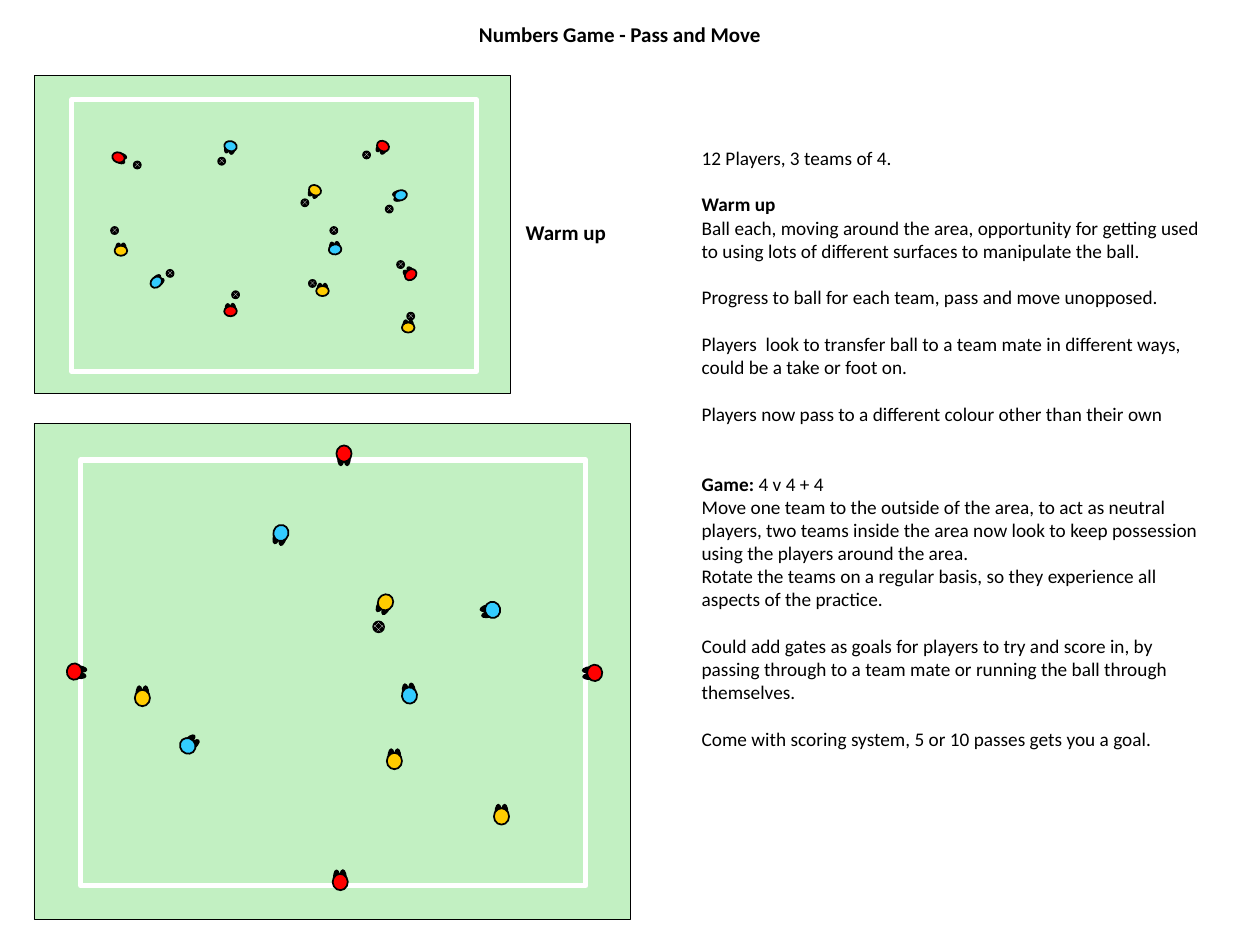
from dataclasses import dataclass
from math import cos, radians, sin

from pptx import Presentation
from pptx import util as u
from pptx.dml.color import RGBColor
from pptx.enum import dml, shapes, text

COLOURS = {"grass": "C2F0C2", "white": "FFFFFF", "black": "000000",
           "red": "FF0000", "blue": "33CCFF", "yellow": "FFCC00"}
FONT = "Calibri"
LINE_GAP = 13.4


@dataclass(frozen=True)
class Player:
    x: float
    y: float
    angle: float
    colour: str


@dataclass(frozen=True)
class Scale:
    body: tuple[float, float]
    foot: tuple[float, float]
    foot_offset: tuple[float, float]
    ball: float


@dataclass(frozen=True)
class Pitch:
    field: tuple[float, float, float, float]
    border: tuple[float, float, float, float]
    scale: Scale
    players: tuple[Player, ...]
    balls: tuple[tuple[float, float], ...]


@dataclass(frozen=True)
class Note:
    body: str
    heading: str = ""
    blank_lines: int = 0


GAME = Pitch(
    (0.27, 3.36, 4.73, 3.94), (0.64, 3.65, 4.01, 3.38),
    Scale((0.12, 0.13), (0.05, 0.13), (0.025, 0.03), 0.09),
    (Player(1.13, 5.54, 0, "yellow"), Player(1.49, 5.92, 48.2, "blue"),
     Player(0.59, 5.33, 97, "red"), Player(3.98, 6.48, 0, "yellow"),
     Player(3.91, 4.84, 255.5, "blue"), Player(4.72, 5.34, 266, "red"),
     Player(3.25, 5.52, 352.4, "blue"), Player(2.23, 4.23, 196.1, "blue"),
     Player(3.13, 6.04, 0, "yellow"), Player(3.06, 4.78, 207.4, "yellow"),
     Player(2.73, 3.6, 180, "red"), Player(2.7, 7, 357.2, "red")),
    ((2.96, 4.93),))

WARM_UP = Pitch(
    (0.27, 0.6, 3.78, 2.52), (0.57, 0.79, 3.21, 2.16),
    Scale((0.1, 0.08), (0.04, 0.08), (0.02, 0.02), 0.06),
    (Player(0.96, 1.99, 0, "yellow"), Player(1.24, 2.24, 48.2, "blue"),
     Player(0.94, 1.25, 110.5, "red"), Player(3.24, 2.6, 0, "yellow"),
     Player(3.18, 1.55, 255.5, "blue"), Player(3.26, 2.18, 318.4, "red"),
     Player(2.66, 1.98, 352.4, "blue"), Player(1.83, 1.16, 196.1, "blue"),
     Player(2.56, 2.31, 0, "yellow"), Player(2.5, 1.51, 207.4, "yellow"),
     Player(3.04, 1.16, 210.6, "red"), Player(1.83, 2.47, 357.2, "red")),
    ((2.39, 1.58), (3.15, 2.07), (1.73, 1.25), (2.88, 1.2),
     (1.06, 1.28), (3.06, 1.63), (0.88, 1.8), (1.32, 2.14),
     (1.84, 2.31), (2.45, 2.22), (3.23, 2.48), (2.62, 1.8)))

NOTES = (
    Note("12 Players, 3 teams of 4."),
    Note("", "Warm up", 1),
    Note("Ball each, moving around the area, opportunity for getting used "
         "to using lots of different surfaces to manipulate the ball."),
    Note("Progress to ball for each team, pass and move unopposed.", blank_lines=1),
    Note("Players  look to transfer ball to a team mate in different ways, "
         "could be a take or foot on.", blank_lines=1),
    Note("Players now pass to a different colour other than their own", blank_lines=1),
    Note("4 v 4 + 4", "Game: ", 2),
    Note("Move one team to the outside of the area, to act as neutral players, "
         "two teams inside the area now look to keep possession using the "
         "players around the area."),
    Note("Rotate the teams on a regular basis, so they experience all aspects "
         "of the practice."),
    Note("Could add gates as goals for players to try and score in, by passing "
         "through to a team mate or running the ball through themselves.", blank_lines=1),
    Note("Come with scoring system, 5 or 10 passes gets you a goal.", blank_lines=1),
)


def rgb(name: str) -> RGBColor:
    return RGBColor.from_string(COLOURS[name])


def add_outline(page, kind, area, fill: str | None, line: str, weight: float):
    shape = page.shapes.add_shape(kind, *map(u.Inches, area))
    shape.shadow.inherit = False
    if fill:
        shape.fill.solid()
        shape.fill.fore_color.rgb = rgb(fill)
    else:
        shape.fill.background()
    shape.line.color.rgb = rgb(line)
    shape.line.width = u.Pt(weight)
    return shape


def add_ellipse(page, centre, size, angle: float, fill: str, weight: float) -> None:
    (x, y), (width, height) = centre, size
    area = (x - width / 2, y - height / 2, width, height)
    shape = add_outline(page, shapes.MSO_SHAPE.OVAL, area, fill, "black", weight)
    shape.rotation = angle


def draw_player(page, player: Player, scale: Scale) -> None:
    turn = radians(player.angle)
    side, ahead = scale.foot_offset
    sideways = abs(sin(turn)) > abs(cos(turn))
    body = scale.body[::-1] if sideways else scale.body
    for step in (-side, side):
        foot = (player.x + step * cos(turn) + ahead * sin(turn),
                player.y + step * sin(turn) - ahead * cos(turn))
        add_ellipse(page, foot, scale.foot, player.angle, "black", 0.75)
    add_ellipse(page, (player.x, player.y), body, player.angle, player.colour, 1)


def draw_ball(page, left: float, top: float, size: float) -> None:
    ball = add_outline(page, shapes.MSO_SHAPE.OVAL, (left, top, size, size),
                       None, "black", 0.75)
    ball.fill.patterned()
    ball.fill.pattern = dml.MSO_PATTERN.SOLID_DIAMOND
    ball.fill.fore_color.rgb = rgb("white")
    ball.fill.back_color.rgb = rgb("black")


def draw_pitch(page, pitch: Pitch) -> None:
    rectangle = shapes.MSO_SHAPE.RECTANGLE
    add_outline(page, rectangle, pitch.field, "grass", "black", 0.25)
    add_outline(page, rectangle, pitch.border, None, "white", 3)
    for player in pitch.players:
        draw_player(page, player, pitch.scale)
    for left, top in pitch.balls:
        draw_ball(page, left, top, pitch.scale.ball)


def add_frame(page, area):
    frame = page.shapes.add_textbox(*map(u.Inches, area)).text_frame
    frame.word_wrap = True
    return frame


def set_font(para, size: float) -> None:
    para.font.name = FONT
    para.font.size = u.Pt(size)
    para.font.color.rgb = rgb("black")


def draw_label(page, area, words: str) -> None:
    frame = add_frame(page, area)
    frame.margin_left = frame.margin_right = u.Inches(0.04)
    frame.margin_top = frame.margin_bottom = u.Inches(0.04)
    para = frame.paragraphs[0]
    para.text = words
    para.alignment = text.PP_ALIGN.CENTER
    set_font(para, 12)
    para.font.bold = True


def draw_notes(page, area, notes: tuple[Note, ...]) -> None:
    frame = add_frame(page, area)
    frame.margin_top = u.Inches(0.24)
    for index, note in enumerate(notes):
        para = frame.add_paragraph() if index else frame.paragraphs[0]
        set_font(para, 11)
        if note.blank_lines:
            para.space_before = u.Pt(note.blank_lines * LINE_GAP)
        for words, bold in ((note.heading, True), (note.body, False)):
            if words:
                span = para.add_run()
                span.text = words
                span.font.bold = bold


def main() -> None:
    """Build the passing practice slide with its two pitches and notes."""
    deck = Presentation()
    deck.slide_width, deck.slide_height = u.Inches(10), u.Inches(7.5)
    page = deck.slides.add_slide(deck.slide_layouts[6])
    draw_label(page, (3.03, 0.13, 3.78, 0.39), "Numbers Game - Pass and Move")
    draw_pitch(page, GAME)
    draw_notes(page, (5.47, 0.92, 4.25, 6.4), NOTES)
    draw_pitch(page, WARM_UP)
    draw_label(page, (3.98, 1.7, 1.02, 0.31), "Warm up")
    deck.save("out.pptx")


if __name__ == "__main__":
    main()
